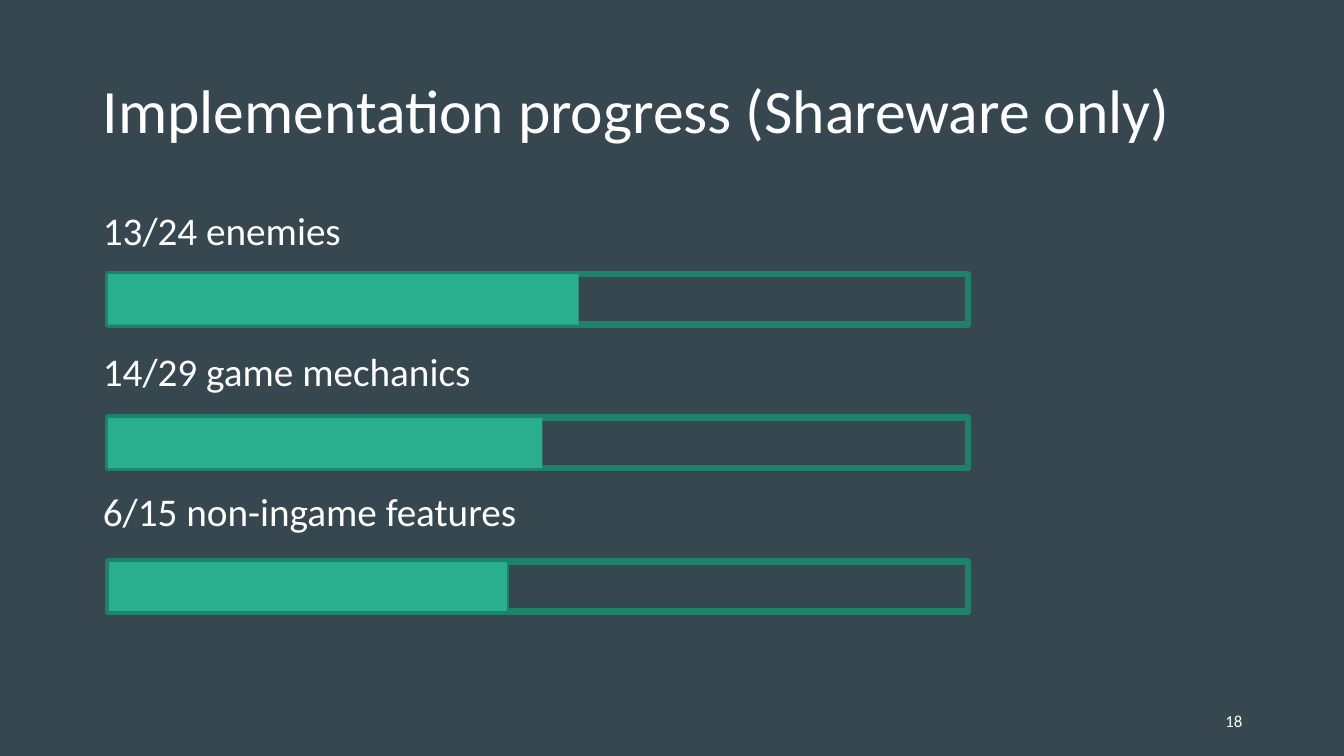
from lxml import etree
from pptx import Presentation
from pptx.dml.color import RGBColor
from pptx.enum.shapes import MSO_SHAPE
from pptx.enum.text import MSO_ANCHOR, MSO_AUTO_SIZE, PP_ALIGN
from pptx.oxml.ns import qn
from pptx.util import Inches, Pt

RECTANGLE = MSO_SHAPE.RECTANGLE
MIDDLE, TOP = MSO_ANCHOR.MIDDLE, MSO_ANCHOR.TOP
NO_AUTOFIT = MSO_AUTO_SIZE.NONE
LEFT, RIGHT = PP_ALIGN.LEFT, PP_ALIGN.RIGHT

BACKGROUND = RGBColor(0x37, 0x47, 0x4F)
WHITE = RGBColor(0xFF, 0xFF, 0xFF)
BAR_FILL = RGBColor(0x29, 0xAF, 0x8C)
BAR_LINE = RGBColor(0x1E, 0x81, 0x68)
FONT = "Calibri"

BAR_LEFT, BAR_WIDTH, BAR_HEIGHT = 1.07, 8.53, 0.5
FIRST_BAR_TOP, BAR_PITCH = 2.72, 1.425

# Label, width of the filled part, width of its outline in points
PROGRESS = [
    ("13/24 enemies", 4.67, 0),
    ("14/29 game mechanics", 4.31, 0),
    ("6/15 non-ingame features", 3.97, 1),
]


def place(box, left, top, width, height):
    box.left, box.top = Inches(left), Inches(top)
    box.width, box.height = Inches(width), Inches(height)


def set_frame(frame, anchor):
    frame.word_wrap = True
    frame.auto_size = NO_AUTOFIT
    frame.vertical_anchor = anchor


def format_paragraph(para, size, align=LEFT, line_spacing=1.0, space_before=0):
    para.alignment = align
    para.line_spacing = line_spacing
    para.space_before = Pt(space_before)
    for run in para.runs:
        run.font.name = FONT
        run.font.size = Pt(size)
        run.font.color.rgb = WHITE


def remove_bullet(para):
    properties = para._p.get_or_add_pPr()
    properties.set("marL", "0")
    properties.set("indent", "0")
    etree.SubElement(properties, qn("a:buNone"))


def add_title(slide, text):
    title = slide.shapes.title
    place(title, 0.92, 0.4, 11.5, 1.45)
    title.text_frame.text = text
    set_frame(title.text_frame, MIDDLE)
    format_paragraph(title.text_frame.paragraphs[0], 44, line_spacing=0.9)


def add_labels(slide, labels):
    body = slide.placeholders[1]
    place(body, 0.92, 2, 11.5, 4.76)
    frame = body.text_frame
    frame.text = "\n".join(labels)
    set_frame(frame, TOP)
    for index, para in enumerate(frame.paragraphs):
        remove_bullet(para)
        format_paragraph(para, 28, space_before=66.5 if index else 0)


def add_bar(slide, top, width, fill=None, line_width=0):
    bar = slide.shapes.add_shape(RECTANGLE, Inches(BAR_LEFT), Inches(top),
                                 Inches(width), Inches(BAR_HEIGHT))
    bar.shadow.inherit = False
    if fill is None:
        bar.fill.background()
    else:
        bar.fill.solid()
        bar.fill.fore_color.rgb = fill
    if line_width:
        bar.line.color.rgb = BAR_LINE
        bar.line.width = Pt(line_width)
    else:
        bar.line.fill.background()


def add_page_number(slide, number):
    box = slide.shapes.add_textbox(Inches(9.42), Inches(6.95), Inches(3), Inches(0.4))
    box.text_frame.text = number
    set_frame(box.text_frame, MIDDLE)
    format_paragraph(box.text_frame.paragraphs[0], 12, align=RIGHT)


def main():
    deck = Presentation()
    deck.slide_width, deck.slide_height = Inches(13.33), Inches(7.5)
    slide = deck.slides.add_slide(deck.slide_layouts[1])
    slide.background.fill.solid()
    slide.background.fill.fore_color.rgb = BACKGROUND

    # Title and labels
    add_title(slide, "Implementation progress (Shareware only)")
    add_labels(slide, [label for label, _, _ in PROGRESS])

    # Progress bars: outlined frame, then the filled part
    for index, (_, done_width, outline) in enumerate(PROGRESS):
        top = FIRST_BAR_TOP + index * BAR_PITCH
        add_bar(slide, top, BAR_WIDTH, line_width=4.75)
        add_bar(slide, top, done_width, BAR_FILL, outline)

    add_page_number(slide, "18")
    deck.save("out.pptx")


if __name__ == "__main__":
    main()
